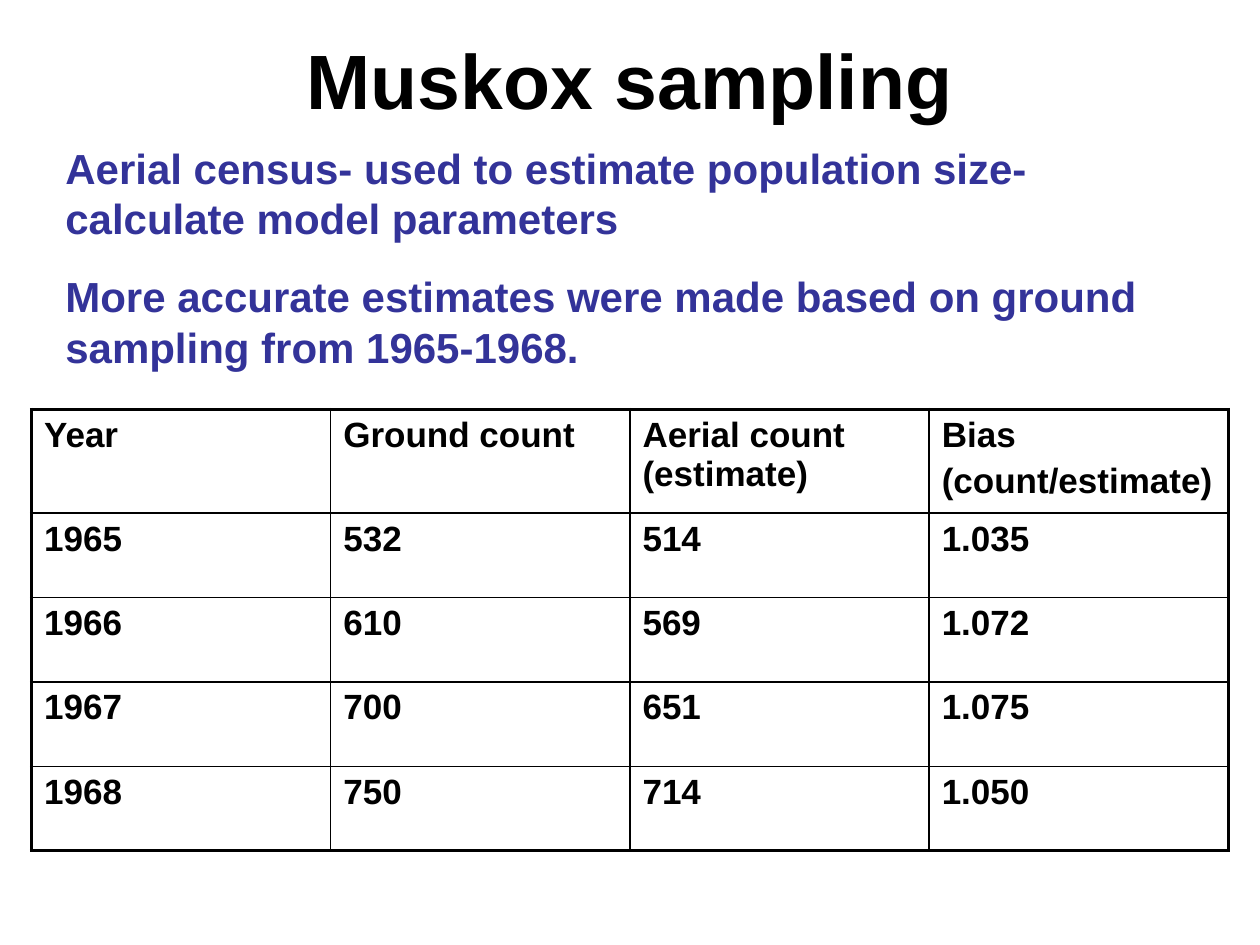
from typing import NamedTuple

from lxml import etree
from pptx import Presentation
from pptx.dml.color import RGBColor
from pptx.enum.text import MSO_ANCHOR, MSO_AUTO_SIZE, PP_ALIGN
from pptx.oxml.ns import qn
from pptx.util import Inches, Pt

CENTER = PP_ALIGN.CENTER
MIDDLE = MSO_ANCHOR.MIDDLE
FIT_SHAPE = MSO_AUTO_SIZE.SHAPE_TO_FIT_TEXT

FONT = "Arial"
COLORS = {"text": "000000", "note": "333399", "border": "000000"}
OUTER, INNER = Pt(2.25), Pt(1)


class Note(NamedTuple):
    top: float
    text: str


NOTES = [
    Note(1.08, "Aerial census- used to estimate population size- calculate model parameters"),
    Note(2.1, "More accurate estimates were made based on ground sampling from 1965-1968."),
]
COUNTS = [
    ("Year", "Ground count", "Aerial count (estimate)", "Bias\n(count/estimate)"),
    ("1965", "532", "514", "1.035"),
    ("1966", "610", "569", "1.072"),
    ("1967", "700", "651", "1.075"),
    ("1968", "750", "714", "1.050"),
]
HEADER_HEIGHT, ROW_HEIGHT = 0.82, 0.67


def format_text(tf, size: float, color: str) -> None:
    for p in tf.paragraphs:
        for r in p.runs:
            r.font.name = FONT
            r.font.size = Pt(size)
            r.font.bold = True
            r.font.color.rgb = RGBColor.from_string(COLORS[color])


def add_title(slide, text: str) -> None:
    title = slide.shapes.title
    title.left, title.top = Inches(0.5), Inches(0)
    title.width, title.height = Inches(9), Inches(1.25)
    tf = title.text_frame
    tf.text = text
    tf.vertical_anchor = MIDDLE
    tf.paragraphs[0].alignment = CENTER
    format_text(tf, 44, "text")


def add_note(slide, note: Note) -> None:
    sp = slide.shapes.add_textbox(Inches(0.42), Inches(note.top), Inches(9.08), Inches(0.9))
    tf = sp.text_frame
    tf.word_wrap = True
    tf.auto_size = FIT_SHAPE
    tf.text = note.text
    format_text(tf, 24, "note")


def set_borders(cell, widths: dict[str, int]) -> None:
    tc_pr = cell._tc.get_or_add_tcPr()
    for side, width in widths.items():
        ln = etree.SubElement(tc_pr, qn(f"a:ln{side}"), w=str(width))
        fill = etree.SubElement(ln, qn("a:solidFill"))
        etree.SubElement(fill, qn("a:srgbClr"), val=COLORS["border"])


def add_count_table(slide, rows: list[tuple[str, ...]]) -> None:
    n_rows, n_cols = len(rows), len(rows[0])
    height = HEADER_HEIGHT + ROW_HEIGHT * (n_rows - 1)
    table = slide.shapes.add_table(
        n_rows, n_cols, Inches(0.25), Inches(3.25), Inches(9.5), Inches(height)
    ).table
    table.first_row = table.horz_banding = False
    for i, values in enumerate(rows):
        table.rows[i].height = Inches(ROW_HEIGHT if i else HEADER_HEIGHT)
        for j, value in enumerate(values):
            cell = table.cell(i, j)
            cell.text = value
            format_text(cell.text_frame, 20, "text")
            for p in cell.text_frame.paragraphs[1:]:
                p.space_before = Pt(4)
            set_borders(cell, {
                "L": OUTER if j == 0 else INNER,
                "R": OUTER if j == n_cols - 1 else INNER,
                "T": OUTER if i == 0 else INNER,
                "B": OUTER if i == n_rows - 1 else INNER,
            })
            cell.fill.background()


def main() -> None:
    prs = Presentation()
    prs.slide_width, prs.slide_height = Inches(10), Inches(7.5)
    slide = prs.slides.add_slide(prs.slide_layouts[5])
    add_title(slide, "Muskox sampling")
    for note in NOTES:
        add_note(slide, note)
    add_count_table(slide, COUNTS)
    prs.save("out.pptx")


if __name__ == "__main__":
    main()
